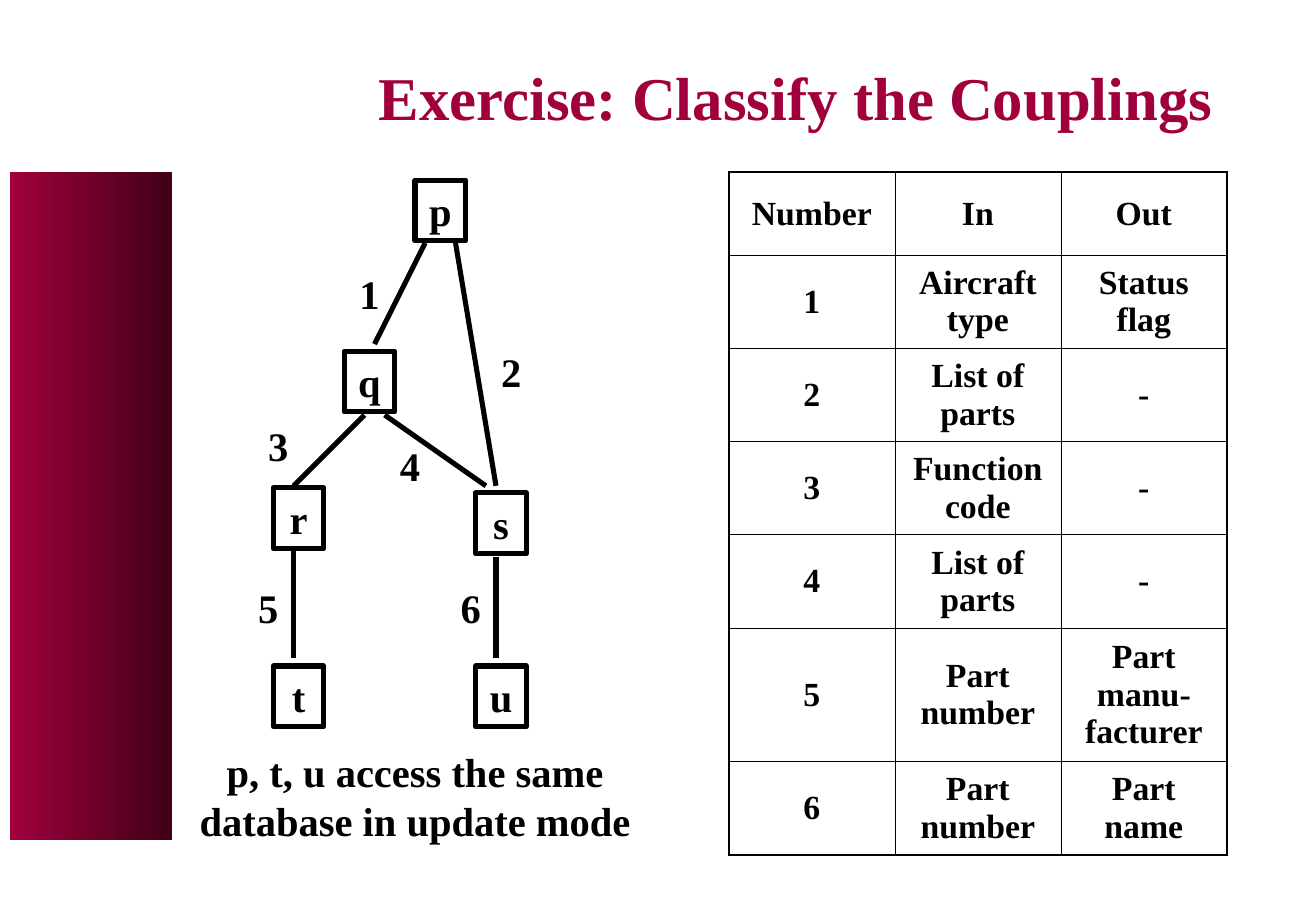
from dataclasses import dataclass

import pptx
import pptx.dml.color
import pptx.enum.shapes
import pptx.enum.text
import pptx.oxml
import pptx.oxml.ns
import pptx.util
from pptx.enum.text import MSO_ANCHOR, PP_ALIGN

PX = 7620  # EMU in one px, 120 px to the inch


@dataclass(frozen=True)
class Theme:
    font: str = "Times New Roman"
    ink: str = "000000"
    crimson: str = "A0003C"
    maroon: str = "400018"
    title_size: int = 36
    diagram_size: int = 24
    table_size: int = 20
    stroke: float = 3
    outer_border: float = 1.08
    inner_border: float = 0.45


@dataclass(frozen=True)
class Label:
    text: str
    left: int
    top: int
    width: int = 50
    height: int = 60


@dataclass(frozen=True)
class Link:
    x1: int
    y1: int
    x2: int
    y2: int


THEME = Theme()

TITLE = Label("Exercise: Classify the Couplings", 190, 50, 1020, 100)
CAPTION = Label("p, t, u access the same database in update mode", 160, 732, 500, 108)

MODULES = [
    Label("p", 410, 178),
    Label("q", 340, 347),
    Label("r", 270, 482),
    Label("s", 470, 487),
    Label("t", 270, 658),
    Label("u", 470, 658),
]
COUPLING_NUMBERS = [
    Label("1", 340, 260),
    Label("2", 480, 337),
    Label("3", 250, 410),
    Label("4", 380, 430),
    Label("5", 240, 570),
    Label("6", 440, 570),
]
COUPLINGS = [
    Link(420, 240, 370, 340),
    Link(450, 240, 490, 480),
    Link(360, 410, 290, 480),
    Link(380, 410, 480, 480),
    Link(290, 540, 290, 650),
    Link(490, 550, 490, 650),
]

TABLE_LEFT, TABLE_TOP, COLUMN_WIDTH = 720, 170, 164
ROW_HEIGHTS = [82, 92, 92, 92, 92, 132, 92]
INTERFACES = [
    ("Number", "In", "Out"),
    ("1", "Aircraft type", "Status flag"),
    ("2", "List of parts", "-"),
    ("3", "Function code", "-"),
    ("4", "List of parts", "-"),
    ("5", "Part number", "Part manu-facturer"),
    ("6", "Part number", "Part name"),
]


def px(length: int) -> pptx.util.Emu:
    return pptx.util.Emu(length * PX)


def rgb(colour: str) -> pptx.dml.color.RGBColor:
    return pptx.dml.color.RGBColor.from_string(colour)


def write(frame, text: str, *, size: int = THEME.diagram_size, colour: str = THEME.ink,
          align=PP_ALIGN.CENTER, before: float = 15, line_spacing: float = 1.0) -> None:
    frame.word_wrap = True
    paragraph = frame.paragraphs[0]
    paragraph.alignment = align
    paragraph.space_before = pptx.util.Pt(before)
    paragraph.line_spacing = line_spacing
    run = paragraph.add_run()
    run.text = text
    run.font.name = THEME.font
    run.font.size = pptx.util.Pt(size)
    run.font.bold = True
    run.font.color.rgb = rgb(colour)


def add_label(slide, label: Label, **text_format) -> None:
    box = slide.shapes.add_textbox(
        px(label.left), px(label.top), px(label.width), px(label.height))
    box.text_frame.vertical_anchor = MSO_ANCHOR.MIDDLE
    write(box.text_frame, label.text, **text_format)


def add_rectangle(slide, left: int, top: int, width: int, height: int):
    rectangle = slide.shapes.add_shape(
        pptx.enum.shapes.MSO_SHAPE.RECTANGLE, px(left), px(top), px(width), px(height))
    rectangle.shadow.inherit = False
    return rectangle


def add_side_band(slide) -> None:
    band = add_rectangle(slide, 10, 170, 160, 660)
    band.line.fill.background()
    band.fill.gradient()
    band.fill.gradient_angle = 0
    for stop, colour in zip(band.fill.gradient_stops, (THEME.crimson, THEME.maroon)):
        stop.color.rgb = rgb(colour)


def add_module(slide, module: Label) -> None:
    box = add_rectangle(slide, module.left, module.top, module.width, module.height)
    box.fill.background()
    box.line.color.rgb = rgb(THEME.ink)
    box.line.width = pptx.util.Pt(THEME.stroke)
    box.text_frame.vertical_anchor = MSO_ANCHOR.MIDDLE
    write(box.text_frame, module.text)


def add_coupling(slide, link: Link) -> None:
    line = slide.shapes.add_connector(
        pptx.enum.shapes.MSO_CONNECTOR.STRAIGHT,
        px(link.x1), px(link.y1), px(link.x2), px(link.y2))
    line.line.color.rgb = rgb(THEME.ink)
    line.line.width = pptx.util.Pt(THEME.stroke)
    line._element.spPr.append(pptx.oxml.parse_xml(
        f"<a:effectLst {pptx.oxml.ns.nsdecls('a')}/>"))


def set_borders(cell, outer_sides: dict[str, bool]) -> None:
    """Draw the four borders, heavier on the sides at the table's edge."""
    properties = cell._tc.get_or_add_tcPr()
    for side, is_outer in outer_sides.items():
        width = pptx.util.Pt(THEME.outer_border if is_outer else THEME.inner_border)
        properties.append(pptx.oxml.parse_xml(
            f'<a:ln{side} {pptx.oxml.ns.nsdecls("a")} w="{int(width)}"><a:solidFill>'
            f'<a:srgbClr val="{THEME.ink}"/></a:solidFill></a:ln{side}>'))


def add_interface_table(slide) -> None:
    rows, columns = len(INTERFACES), len(INTERFACES[0])
    table = slide.shapes.add_table(
        rows, columns, px(TABLE_LEFT), px(TABLE_TOP),
        px(COLUMN_WIDTH * columns), px(sum(ROW_HEIGHTS))).table
    table.first_row = table.horz_banding = False
    for column in table.columns:
        column.width = px(COLUMN_WIDTH)
    for r, (height, values) in enumerate(zip(ROW_HEIGHTS, INTERFACES)):
        table.rows[r].height = px(height)
        for c, value in enumerate(values):
            cell = table.cell(r, c)
            set_borders(cell, {"L": c == 0, "R": c == columns - 1,
                               "T": r == 0, "B": r == rows - 1})
            cell.fill.background()
            cell.vertical_anchor = MSO_ANCHOR.MIDDLE
            write(cell.text_frame, value, size=THEME.table_size, before=7.5)


def main() -> None:
    deck = pptx.Presentation()
    deck.slide_width, deck.slide_height = px(1300), px(900)
    slide = deck.slides.add_slide(deck.slide_layouts[6])
    add_side_band(slide)
    add_label(slide, TITLE, size=THEME.title_size, colour=THEME.crimson,
              align=PP_ALIGN.RIGHT, before=0, line_spacing=0.9)
    add_interface_table(slide)
    for module in MODULES:
        add_module(slide, module)
    for coupling in COUPLINGS:
        add_coupling(slide, coupling)
    for number in COUPLING_NUMBERS:
        add_label(slide, number)
    add_label(slide, CAPTION)
    deck.save("out.pptx")


if __name__ == "__main__":
    main()
